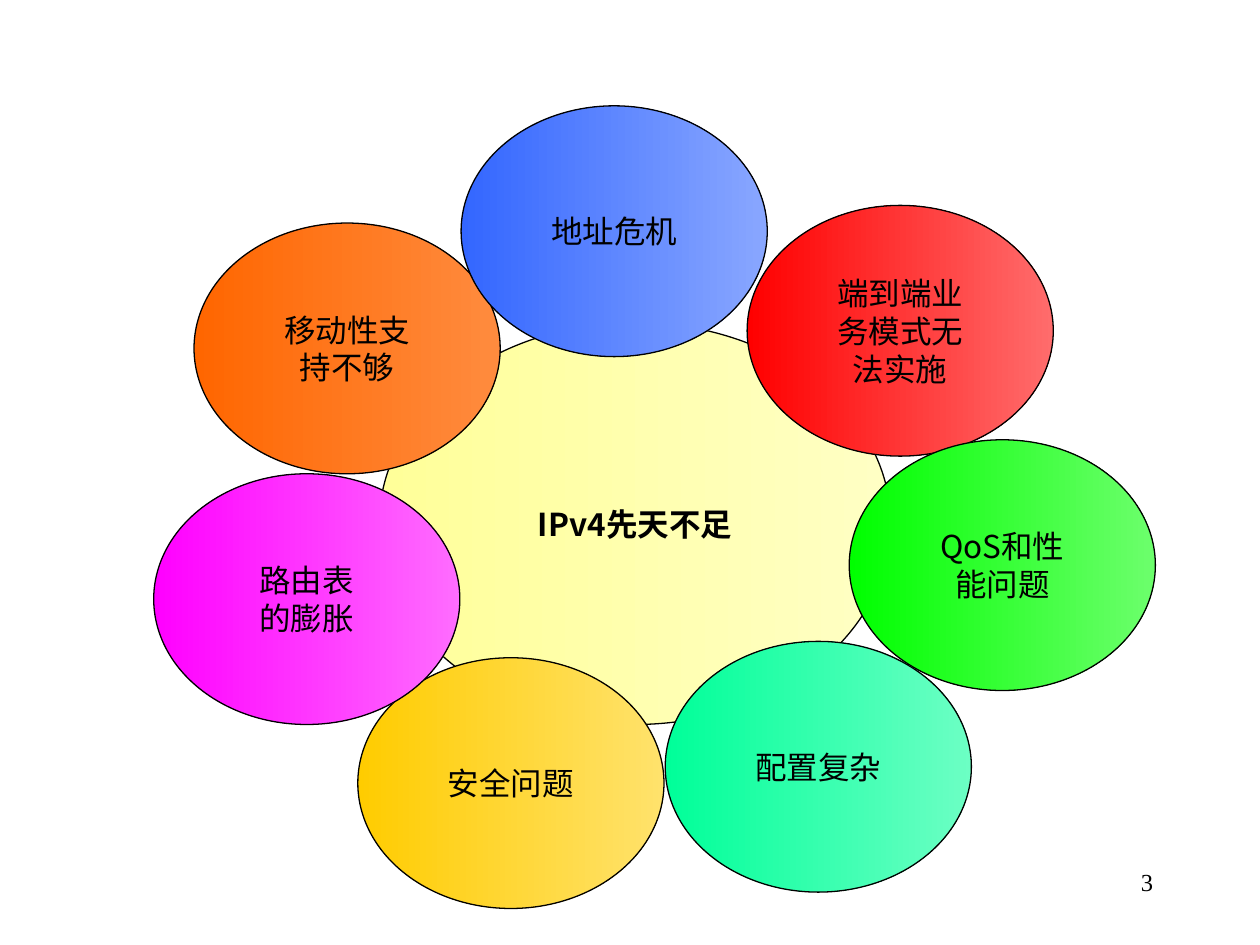
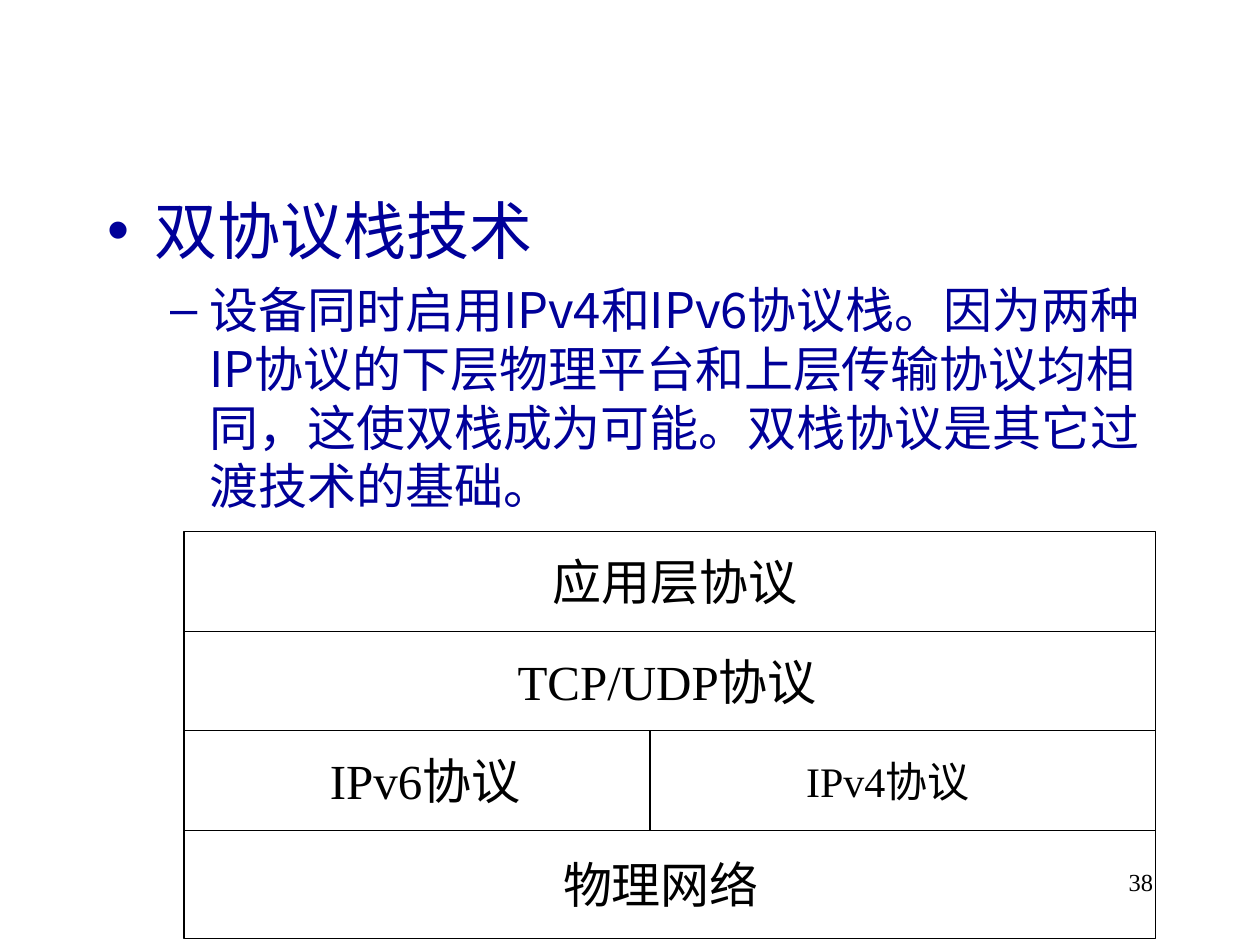
from lxml.etree import SubElement
from pptx import Presentation
from pptx.dml.color import RGBColor
from pptx.enum.shapes import MSO_CONNECTOR, MSO_SHAPE
from pptx.enum.text import MSO_ANCHOR, MSO_AUTO_SIZE, PP_ALIGN
from pptx.oxml.ns import qn
from pptx.util import Inches, Pt

COLOURS = {
    "ink": "000000",
    "body": "000099",
    "yellow": ("FFFF99", "FFFFC4"),
    "orange": ("FF6600", "FF8B3E"),
    "blue": ("3366FF", "89A7FF"),
    "red": ("FF0000", "FF6C6C"),
    "green": ("00FF00", "6CFF6C"),
    "gold": ("FFCC00", "FFE26C"),
    "magenta": ("FF00FF", "FF6CFF"),
    "mint": ("00FF99", "6CFFC4"),
}
SANS = "Noto Sans CJK SC"
SERIF = "Times New Roman"
LINE_WIDTH = Pt(0.75)

NUMBER_FORMAT = {"word_wrap": True}
LABEL_FORMAT = {"word_wrap": False, "auto_size": MSO_AUTO_SIZE.SHAPE_TO_FIT_TEXT}
ELLIPSE_FORMAT = {"word_wrap": False, "vertical_anchor": MSO_ANCHOR.MIDDLE}

CENTRE_SIZE = (4.06, 3.19)
PETAL_SIZE = (2.43, 1.99)
CENTRE = (["IPv4先天不足"], "yellow", 3.01, 2.56)
PETALS = [
    (["移动性支", "持不够"], "orange", 1.54, 1.77),
    (["地址危机"], "blue", 3.66, 0.84),
    (["端到端业", "务模式无", "法实施"], "red", 5.93, 1.63),
    (["QoS和性", "能问题"], "green", 6.74, 3.49),
    (["安全问题"], "gold", 2.84, 5.22),
    (["路由表", "的膨胀"], "magenta", 1.22, 3.76),
    (["配置复杂"], "mint", 5.28, 5.09),
]

BODY = [
    ("双协议栈技术", 0, 36, 9),
    (
        "设备同时启用IPv4和IPv6协议栈。因为两种IP协议的下层物理平台和上层传输协议"
        "均相同，这使双栈成为可能。双栈协议是其它过渡技术的基础。",
        1, 28, 7,
    ),
]
STACK_LEFT, STACK_RIGHT, STACK_SPLIT = 1.46, 9.17, 5.16
STACK_TOP, STACK_BOTTOM, ROW_HEIGHT = 4.22, 7.45, 0.79
ROW_EDGES = [STACK_TOP + ROW_HEIGHT * row for row in range(4)] + [STACK_BOTTOM]
STACK_LABELS = [
    (0, "应用层协议", 4.29, 2.14, 0.57, 28),
    (1, "TCP/UDP协议", 4.01, 2.7, 0.57, 28),
    (2, "IPv6协议", 2.52, 1.8, 0.57, 28),
    (2, "IPv4协议", 6.3, 1.6, 0.5, 24),
    (3, "物理网络", 4.37, 1.75, 0.57, 28),
]


def apply(target, values):
    for name, value in values.items():
        setattr(target, name, value)


def write(para, text, size, font, colour="ink", bold=False):
    span = para.add_run()
    span.text = text
    apply(span.font, {"name": font, "size": Pt(size), "bold": bold})
    span.font.color.rgb = RGBColor.from_string(COLOURS[colour])
    SubElement(span.font._element, qn("a:ea"), typeface=SANS)


def outline(shape):
    shape.line.color.rgb = RGBColor.from_string(COLOURS["ink"])
    shape.line.width = LINE_WIDTH


def add_label(page, text, place, size, align, frame_format):
    box = page.shapes.add_textbox(*map(Inches, place))
    apply(box.text_frame, frame_format)
    para = box.text_frame.paragraphs[0]
    para.alignment = align
    write(para, text, size, SERIF)


def add_page_number(page, number):
    place = (7.17, 6.83, 2.08, 0.5)
    add_label(page, number, place, 14, PP_ALIGN.RIGHT, NUMBER_FORMAT)


def add_ellipse(group, lines, colour, left, top, size, bold=False):
    ellipse = group.shapes.add_shape(
        MSO_SHAPE.OVAL, *map(Inches, (left, top, *size)))
    ellipse.shadow.inherit = False
    ellipse.fill.gradient()
    ellipse.fill.gradient_angle = 0
    for stop, shade in zip(ellipse.fill.gradient_stops, COLOURS[colour]):
        stop.color.rgb = RGBColor.from_string(shade)
    outline(ellipse)
    frame = ellipse.text_frame
    apply(frame, ELLIPSE_FORMAT)
    for index, line in enumerate(lines):
        para = frame.add_paragraph() if index else frame.paragraphs[0]
        para.alignment = PP_ALIGN.CENTER
        write(para, line, 18, SANS, bold=bold)


def add_rule(page, *ends):
    rule = page.shapes.add_connector(MSO_CONNECTOR.STRAIGHT, *map(Inches, ends))
    outline(rule)
    SubElement(rule._element.spPr, qn("a:effectLst"))


def build_weaknesses(deck):
    page = deck.slides.add_slide(deck.slide_layouts[6])
    add_page_number(page, "3")
    group = page.shapes.add_group_shape()
    add_ellipse(group, *CENTRE, CENTRE_SIZE, bold=True)
    for petal in PETALS:
        add_ellipse(group, *petal, PETAL_SIZE)


def build_dual_stack(deck):
    page = deck.slides.add_slide(deck.slide_layouts[1])
    title = page.shapes.title.element
    title.getparent().remove(title)
    add_page_number(page, "38")

    body = page.placeholders[1]
    apply(body, {"left": Inches(0.75), "top": Inches(1.47),
                 "width": Inches(8.5), "height": Inches(4.5)})
    frame = body.text_frame
    frame.auto_size = MSO_AUTO_SIZE.NONE
    for index, (text, level, size, space) in enumerate(BODY):
        para = frame.add_paragraph() if index else frame.paragraphs[0]
        apply(para, {"level": level, "space_before": Pt(space)})
        write(para, text, size, SANS, "body")

    stack = page.shapes.add_shape(MSO_SHAPE.RECTANGLE, *map(Inches, (
        STACK_LEFT, STACK_TOP, STACK_RIGHT - STACK_LEFT, STACK_BOTTOM - STACK_TOP)))
    stack.shadow.inherit = False
    stack.fill.background()
    outline(stack)
    for edge in ROW_EDGES[1:-1]:
        add_rule(page, STACK_LEFT, edge, STACK_RIGHT, edge)
    add_rule(page, STACK_SPLIT, ROW_EDGES[2], STACK_SPLIT, ROW_EDGES[3])
    for row, text, left, width, height, size in STACK_LABELS:
        top = (ROW_EDGES[row] + ROW_EDGES[row + 1] - height) / 2
        place = (left, top, width, height)
        add_label(page, text, place, size, PP_ALIGN.LEFT, LABEL_FORMAT)


def main():
    deck = Presentation()
    apply(deck, {"slide_width": Inches(10), "slide_height": Inches(7.5)})
    build_weaknesses(deck)
    build_dual_stack(deck)
    deck.save("out.pptx")


if __name__ == "__main__":
    main()
